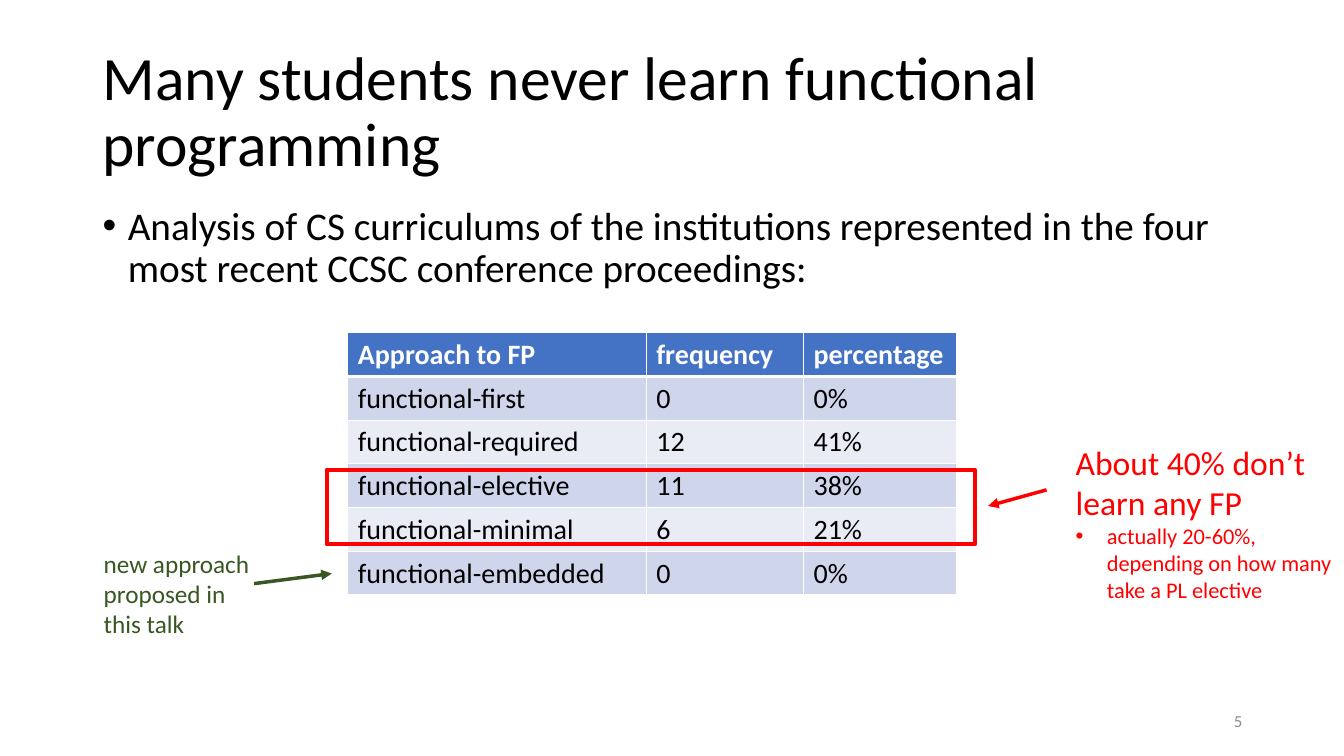
from lxml import etree
from pptx import Presentation
from pptx.dml.color import RGBColor
from pptx.enum.shapes import MSO_CONNECTOR as Connector, MSO_SHAPE as Preset
from pptx.enum.text import MSO_ANCHOR as Anchor, PP_ALIGN as Align
from pptx.oxml import parse_xml
from pptx.oxml.ns import nsdecls, qn
from pptx.util import Inches, Pt

FONT = "Calibri"
BLACK, WHITE, RED, GREEN, GRAY = "000000", "FFFFFF", "FF0000", "385723", "8C8C8C"
HEADER_FILL, BAND_FILLS = "4472C4", ("CFD5EA", "E9EBF5")
COLUMN_WIDTHS = (2.96, 1.56, 1.52)
ROW_HEIGHT = 0.41
APPROACHES = (
    ("Approach to FP", "frequency", "percentage"),
    ("functional-first", "0", "0%"),
    ("functional-required", "12", "41%"),
    ("functional-elective", "11", "38%"),
    ("functional-minimal", "6", "21%"),
    ("functional-embedded", "0", "0%"),
)


def rgb(color):
    """Turn a hex string into a colour."""
    return RGBColor.from_string(color)


def style_paragraph(paragraph, text, size, color, bold=False, bullet_indent=None):
    """Fill a paragraph with text, an optional bullet and its font."""
    paragraph.text = text
    if bullet_indent:
        properties = paragraph._p.get_or_add_pPr()
        properties.set("marL", str(Inches(bullet_indent)))
        properties.set("indent", str(-Inches(bullet_indent)))
        etree.SubElement(properties, qn("a:buFont")).set("typeface", "Arial")
        etree.SubElement(properties, qn("a:buChar")).set("char", "•")
    font = paragraph.font
    font.name, font.size, font.bold = FONT, Pt(size), bold
    font.color.rgb = rgb(color)


def add_text(shapes, box, text, size, color, anchor=Anchor.TOP, bullet_indent=None):
    """Add a wrapping text box and return its text frame."""
    frame = shapes.add_textbox(*map(Inches, box)).text_frame
    frame.word_wrap = True
    frame.vertical_anchor = anchor
    style_paragraph(frame.paragraphs[0], text, size, color, bullet_indent=bullet_indent)
    return frame


def add_arrow(shapes, start, end, color):
    """Add a straight arrow that points at its end."""
    arrow = shapes.add_connector(Connector.STRAIGHT, *map(Inches, start + end))
    arrow.line.color.rgb = rgb(color)
    arrow.line.width = Pt(2.5)
    etree.SubElement(arrow.line._get_or_add_ln(), qn("a:tailEnd")).set("type", "triangle")
    etree.SubElement(arrow._element.spPr, qn("a:effectLst"))


def add_frame(shapes, box, color):
    """Add an unfilled rectangle that marks table rows."""
    shape = shapes.add_shape(Preset.RECTANGLE, *map(Inches, box))
    shape.shadow.inherit = False
    shape.fill.background()
    shape.line.color.rgb = rgb(color)
    shape.line.width = Pt(3)


def set_borders(cell, top, bottom):
    """Draw white borders with the given top and bottom widths."""
    for side, width in (("L", 1), ("R", 1), ("T", top), ("B", bottom)):
        cell._tc.get_or_add_tcPr().append(parse_xml(
            f'<a:ln{side} {nsdecls("a")} w="{Pt(width)}"><a:solidFill>'
            f'<a:srgbClr val="{WHITE}"/></a:solidFill></a:ln{side}>'))


def add_approach_table(shapes, left, top):
    """Add the banded table of approaches."""
    table = shapes.add_table(
        len(APPROACHES), len(COLUMN_WIDTHS), Inches(left), Inches(top),
        Inches(sum(COLUMN_WIDTHS)), Inches(ROW_HEIGHT * len(APPROACHES))).table
    for column, width in zip(table.columns, COLUMN_WIDTHS):
        column.width = Inches(width)
    for row, values in enumerate(APPROACHES):
        header = row == 0
        fill = HEADER_FILL if header else BAND_FILLS[(row - 1) % 2]
        for column, text in enumerate(values):
            cell = table.cell(row, column)
            set_borders(cell, 3 if row == 1 else 1, 3 if header else 1)
            cell.fill.solid()
            cell.fill.fore_color.rgb = rgb(fill)
            style_paragraph(cell.text_frame.paragraphs[0], text, 20,
                            WHITE if header else BLACK, bold=header)


def add_red_note(shapes):
    """Mark the rows of students who may miss FP and explain them."""
    frame = add_text(shapes, (10.57, 4.33, 2.89, 1.72), "About 40% don’t learn any FP", 24, RED)
    style_paragraph(frame.add_paragraph(),
                    "actually 20-60%, depending on how many take a PL elective",
                    16, RED, bullet_indent=0.31)
    add_frame(shapes, (3.24, 4.66, 6.43, 0.74), RED)
    add_arrow(shapes, (10.38, 4.86), (9.8, 5.02), RED)


def add_green_note(shapes):
    """Point at the approach that the talk proposes."""
    add_text(shapes, (0.93, 5.39, 1.81, 1.01), "new approach proposed in this talk", 18, GREEN)
    add_arrow(shapes, (2.52, 5.79), (3.29, 5.69), GREEN)


def main():
    """Build the slide and save it."""
    presentation = Presentation()
    presentation.slide_width, presentation.slide_height = Inches(13.33), Inches(7.5)
    slide = presentation.slides.add_slide(presentation.slide_layouts[6])
    shapes = slide.shapes
    title = add_text(shapes, (0.92, 0.4, 11.5, 1.45),
                     "Many students never learn functional programming", 44, BLACK, Anchor.MIDDLE)
    body = add_text(shapes, (0.92, 2, 11.5, 1.45),
                    "Analysis of CS curriculums of the institutions represented in the four "
                    "most recent CCSC conference proceedings:", 28, BLACK, bullet_indent=0.25)
    for frame in (title, body):
        frame.paragraphs[0].line_spacing = 0.9
    add_approach_table(shapes, 3.45, 3.3)
    add_red_note(shapes.add_group_shape().shapes)
    add_green_note(shapes.add_group_shape().shapes)
    number = add_text(shapes, (9.42, 6.95, 3, 0.4), "5", 12, GRAY, Anchor.MIDDLE)
    number.paragraphs[0].alignment = Align.RIGHT
    presentation.save("out.pptx")


if __name__ == "__main__":
    main()
